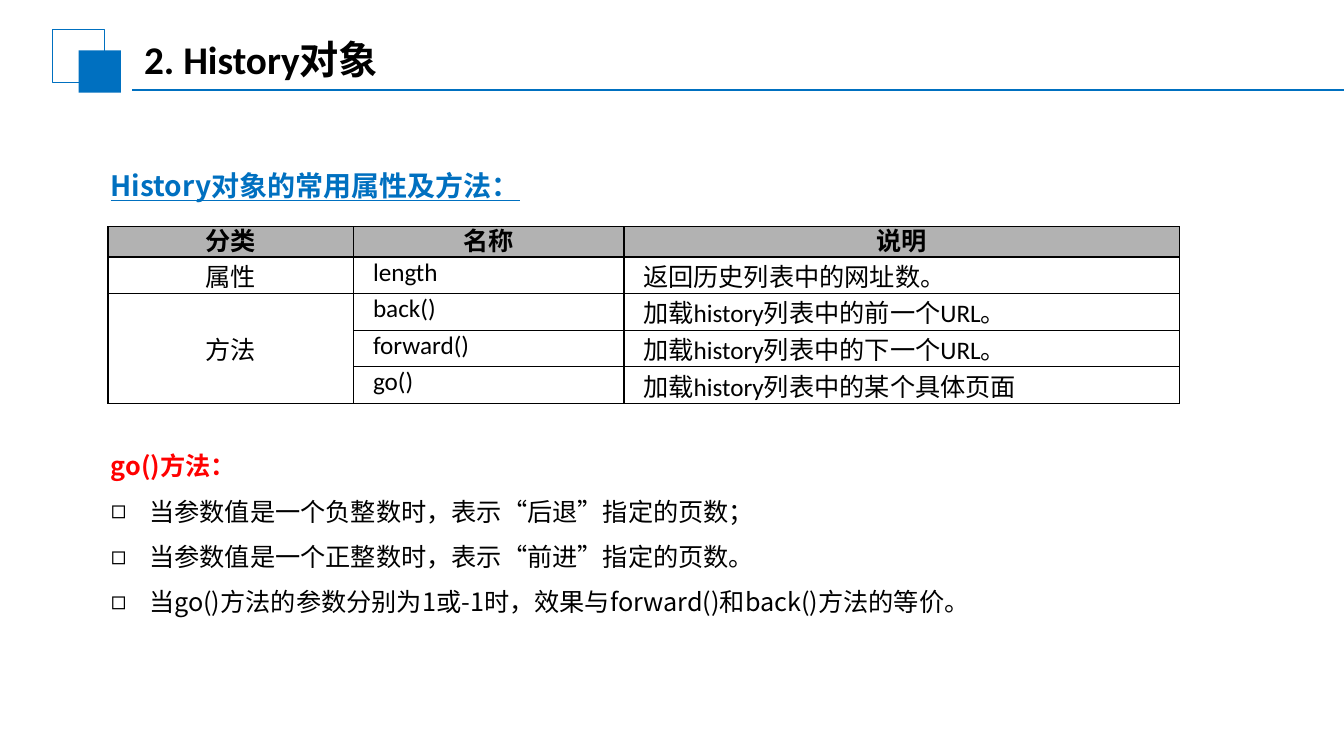
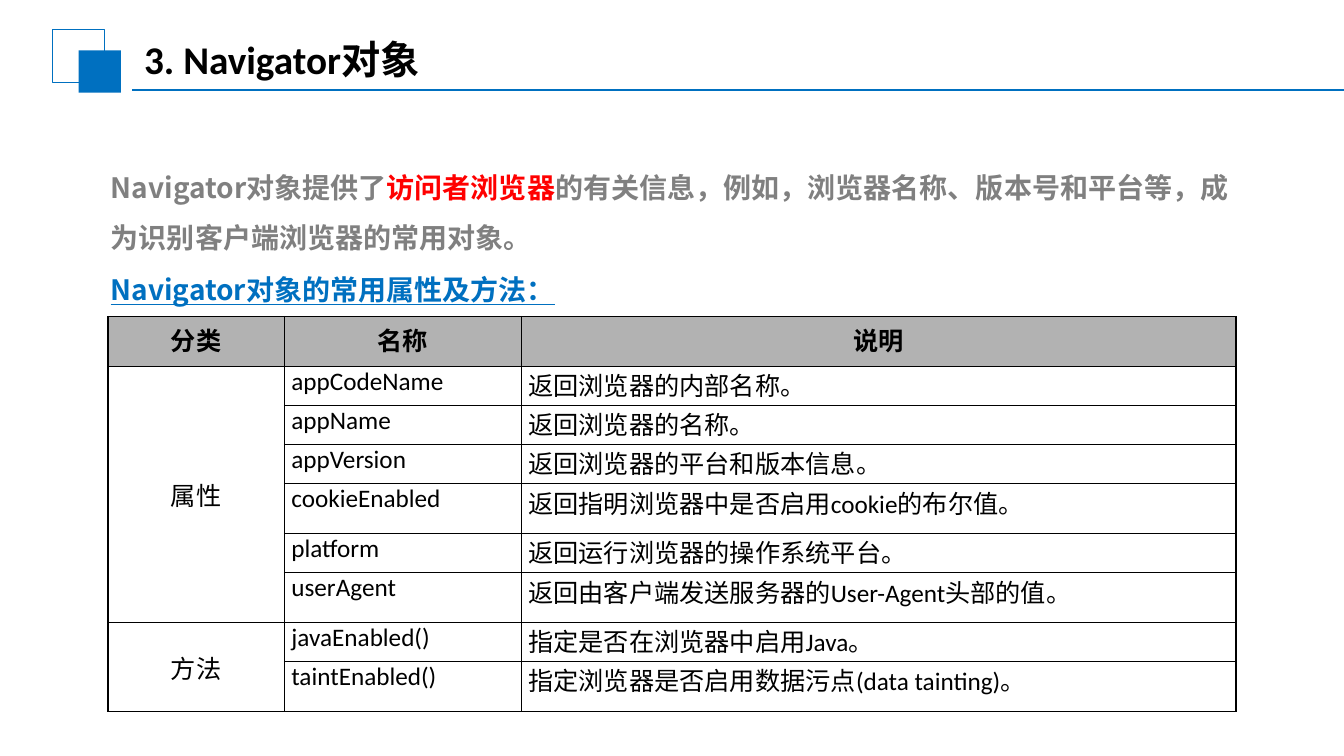
import pptx
import pptx.chart.data
import pptx.dml.color
import pptx.enum.shapes
import pptx.enum.text
import pptx.oxml
import pptx.oxml.ns
import pptx.util
from lxml import etree

COLORS = {"accent": "0070C0", "text": "000000", "alert": "FF0000",
          "muted": "808080", "header": "B2B2B2"}
LATIN, CJK = "Calibri", "Noto Sans CJK SC"
WIDTH, HEIGHT = pptx.util.Inches(13.33), pptx.util.Inches(7.5)
LEFT, BODY_WIDTH, TABLE_LEFT = 7.5, 85.05, 8.03
ALIGN = pptx.enum.text.PP_ALIGN
ANCHOR = pptx.enum.text.MSO_ANCHOR
HEADINGS = ("分类", "名称", "说明")


def across(share):
    """Turn a percentage of the slide width into a length."""
    return round(WIDTH * share / 100)


def down(share):
    """Turn a percentage of the slide height into a length."""
    return round(HEIGHT * share / 100)


def box(left, top, width, height):
    """Return a box given in percentages of the slide."""
    return across(left), down(top), across(width), down(height)


def rgb(name):
    """Look up a named colour."""
    return pptx.dml.color.RGBColor.from_string(COLORS[name])


def child(parent, tag, **attributes):
    """Append a DrawingML element."""
    return etree.SubElement(parent, pptx.oxml.ns.qn(tag), attributes)


def write(frame, text, size=18, color="text", bold=False, underline=False,
          latin=LATIN, cjk=CJK, align=ALIGN.LEFT, spacing=1.0, indent=0,
          bullet=None):
    """Write one paragraph, from a string or from (text, colour) pieces."""
    paragraph = frame.paragraphs[0]
    if paragraph.runs:
        paragraph = frame.add_paragraph()
    paragraph.alignment = align
    paragraph.line_spacing = spacing
    paragraph.space_before = pptx.util.Pt(0)
    properties = paragraph._p.get_or_add_pPr()
    margin = pptx.util.Inches(indent)
    properties.set("marL", str(margin))
    properties.set("indent", str(-margin if bullet else 0))
    if bullet:
        child(properties, "a:buChar", char=bullet)
    else:
        child(properties, "a:buNone")
    pieces = [(text, color)] if isinstance(text, str) else text
    for words, tone in pieces:
        run = paragraph.add_run()
        run.text = words
        run.font.size = pptx.util.Pt(size)
        run.font.bold = bold
        run.font.underline = underline
        run.font.color.rgb = rgb(tone)
        run.font.name = latin
        child(run._r.get_or_add_rPr(), "a:ea", typeface=cjk)


def place(placeholder, area, anchor=ANCHOR.TOP):
    """Move a placeholder and return its text frame."""
    (placeholder.left, placeholder.top,
     placeholder.width, placeholder.height) = area
    frame = placeholder.text_frame
    frame.word_wrap = True
    frame.auto_size = pptx.enum.text.MSO_AUTO_SIZE.NONE
    frame.vertical_anchor = anchor
    return frame


def square(slide, area, filled):
    """Draw a filled or outlined accent square."""
    emblem = slide.shapes.add_shape(
        pptx.enum.shapes.MSO_SHAPE.RECTANGLE, *area)
    emblem.shadow.inherit = False
    if filled:
        emblem.fill.solid()
        emblem.fill.fore_color.rgb = rgb("accent")
        emblem.line.fill.background()
    else:
        emblem.fill.background()
        emblem.line.color.rgb = rgb("accent")
        emblem.line.width = pptx.util.Pt(0.75)


def add_page(deck, title):
    """Add a slide with the shared heading band."""
    slide = deck.slides.add_slide(deck.slide_layouts[1])
    square(slide, box(3.9, 3.87, 3.9, 7.07), False)
    square(slide, box(5.85, 6.67, 3.15, 5.6), True)
    rule = slide.shapes.add_connector(
        pptx.enum.shapes.MSO_CONNECTOR.STRAIGHT,
        across(9.83), down(11.87), WIDTH, down(11.87))
    rule.line.color.rgb = rgb("accent")
    rule.line.width = pptx.util.Pt(1.25)
    child(rule._element.spPr, "a:effectLst")
    frame = place(slide.shapes.title, box(9.75, 3.87, 59.18, 7.73),
                  ANCHOR.MIDDLE)
    frame.margin_left = frame.margin_right = pptx.util.Inches(0.13)
    frame.margin_top = frame.margin_bottom = pptx.util.Inches(0.07)
    write(frame, title, size=28, bold=True, cjk=LATIN)
    return slide


def add_caption(slide, text, top):
    """Add the underlined caption above a table."""
    caption = slide.shapes.add_textbox(*box(LEFT, top, BODY_WIDTH, 5.87))
    caption.text_frame.word_wrap = True
    write(caption.text_frame, text, size=20, color="accent", bold=True,
          underline=True, latin=CJK)


def style_cell(cell, heading, centered):
    """Set margins, borders and fill of a table cell."""
    cell.margin_left = cell.margin_right = pptx.util.Inches(0.07)
    cell.margin_top = cell.margin_bottom = 0
    cell.vertical_anchor = ANCHOR.MIDDLE if centered else ANCHOR.TOP
    properties = cell._tc.get_or_add_tcPr()
    for side in ("a:lnL", "a:lnR", "a:lnT", "a:lnB"):
        border = child(properties, side, w=str(pptx.util.Pt(1)))
        child(child(border, "a:solidFill"), "a:srgbClr", val=COLORS["text"])
    if heading:
        cell.fill.solid()
        cell.fill.fore_color.rgb = rgb("header")
    else:
        cell.fill.background()


def add_member_table(slide, top, widths, heights, groups, indent=0):
    """Add a table of members, grouped by category in the first column."""
    rows = [HEADINGS]
    spans = []
    for category, members in groups:
        spans.append((len(rows), len(rows) + len(members) - 1))
        for position, member in enumerate(members):
            rows.append(("" if position else category, *member))
    table = slide.shapes.add_table(
        len(rows), len(widths),
        *box(TABLE_LEFT, top, sum(widths), sum(heights))).table
    for column, width in zip(table.columns, widths):
        column.width = across(width)
    for row, height in zip(table.rows, heights):
        row.height = down(height)
    for r, texts in enumerate(rows):
        for c, text in enumerate(texts):
            heading, centered = r == 0, r == 0 or c == 0
            cell = table.cell(r, c)
            style_cell(cell, heading, centered)
            if text:
                write(cell.text_frame, text, bold=heading,
                      cjk=LATIN if heading else CJK,
                      align=ALIGN.CENTER if centered else ALIGN.JUSTIFY,
                      indent=0 if centered else indent)
    for first, last in spans:
        if last > first:
            table.cell(first, 0).merge(table.cell(last, 0))


def add_history(deck):
    """Build the History object slide."""
    slide = add_page(deck, "2. History对象")
    add_caption(slide, "History对象的常用属性及方法：", 21.6)
    groups = [
        ("属性", [("length", "返回历史列表中的网址数。")]),
        ("方法", [("back()", "加载history列表中的前一个URL。"),
                ("forward()", "加载history列表中的下一个URL。"),
                ("go()", "加载history列表中的某个具体页面")]),
    ]
    add_member_table(slide, 30, (18.3, 20.1, 41.33), [3.9] + [4.84] * 4,
                     groups, indent=0.12)
    usage = place(slide.placeholders[1], box(LEFT, 56.93, BODY_WIDTH, 25.6))
    write(usage, "go()方法：", color="alert", bold=True, latin=CJK,
          spacing=1.5)
    for rule in ("当参数值是一个负整数时，表示“后退”指定的页数；",
                 "当参数值是一个正整数时，表示“前进”指定的页数。",
                 "当go()方法的参数分别为1或-1时，效果与forward()和back()方法的等价。"):
        write(usage, rule, latin=CJK, spacing=1.5, indent=0.38, bullet="◻")


def add_navigator(deck):
    """Build the Navigator object slide."""
    slide = add_page(deck, "3. Navigator对象")
    summary = place(slide.placeholders[1], box(LEFT, 19.6, BODY_WIDTH, 14.8))
    write(summary, [
        ("Navigator对象提供了", "muted"),
        ("访问者浏览器", "alert"),
        ("的有关信息，例如，浏览器名称、版本号和平台等，"
         "成为识别客户端浏览器的常用对象。", "muted"),
    ], size=20, bold=True, latin=CJK, spacing=1.5)
    add_caption(slide, "Navigator对象的常用属性及方法：", 35.33)
    groups = [
        ("属性", [("appCodeName", "返回浏览器的内部名称。"),
                ("appName", "返回浏览器的名称。"),
                ("appVersion", "返回浏览器的平台和版本信息。"),
                ("cookieEnabled", "返回指明浏览器中是否启用cookie的布尔值。"),
                ("platform", "返回运行浏览器的操作系统平台。"),
                ("userAgent", "返回由客户端发送服务器的User-Agent头部的值。")]),
        ("方法", [("javaEnabled()", "指定是否在浏览器中启用Java。"),
                ("taintEnabled()", "指定浏览器是否启用数据污点(data tainting)。")]),
    ]
    tall, low = 6.58, 5.19
    add_member_table(slide, 41.87, (13.13, 17.63, 53.18),
                     [tall, low, low, low, tall, low, tall, low, tall],
                     groups)


def main():
    """Build and save the deck."""
    deck = pptx.Presentation()
    deck.slide_width, deck.slide_height = WIDTH, HEIGHT
    add_history(deck)
    add_navigator(deck)
    deck.save("out.pptx")


if __name__ == "__main__":
    main()
